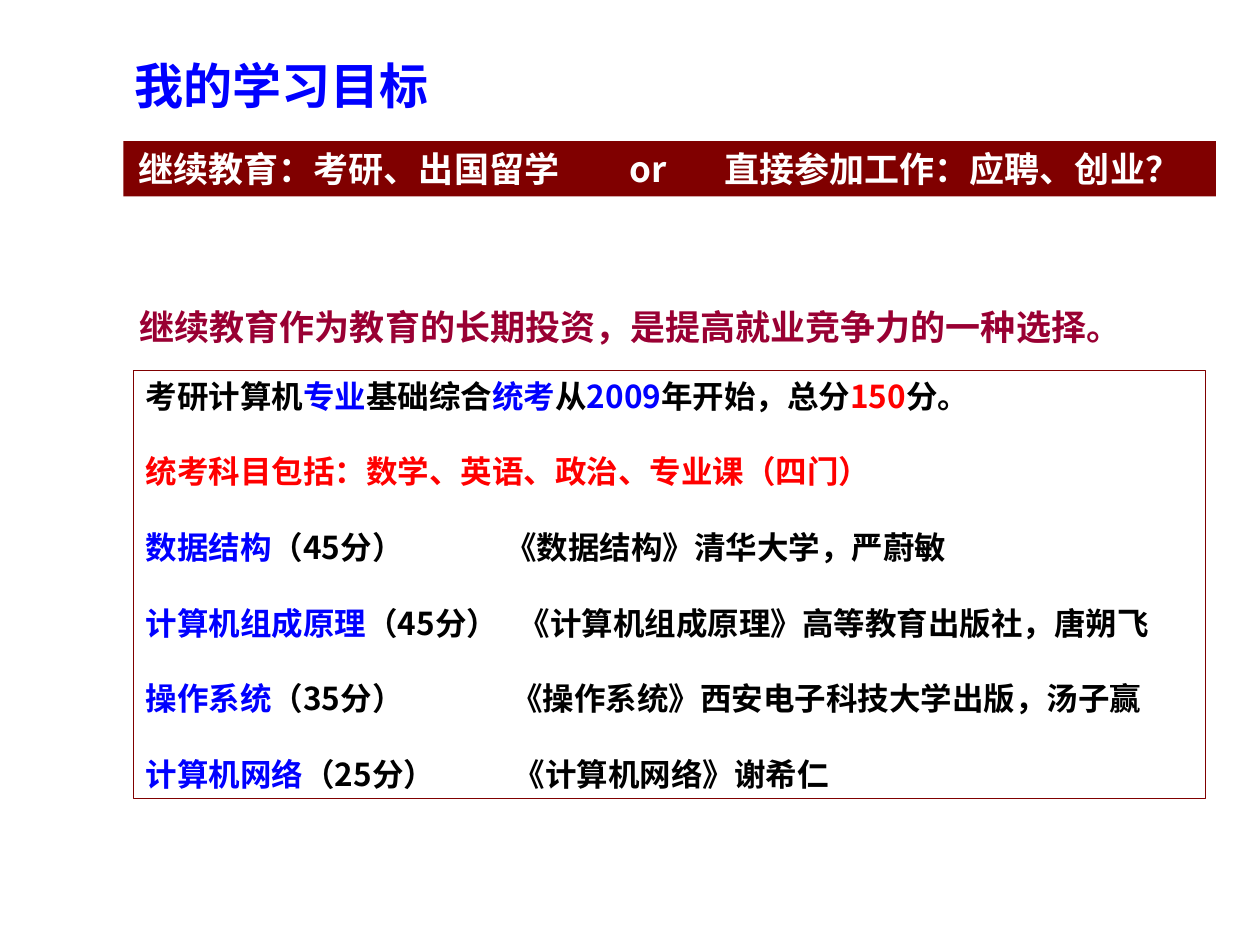
from lxml.etree import SubElement
from pptx import Presentation
from pptx.dml.color import RGBColor
from pptx.enum.shapes import MSO_SHAPE
from pptx.enum.text import MSO_ANCHOR
from pptx.oxml.ns import qn
from pptx.util import Inches, Pt

FONT = "Noto Sans CJK SC"
BLUE, RED, BLACK, WHITE = "0000FF", "FF0000", "000000", "FFFFFF"
MAROON, CRIMSON = "800000", "990033"


def color(value):
    return RGBColor.from_string(value)


def apply(target, values):
    for name, value in values.items():
        setattr(target, name, value)


class GoalSlide:
    def __init__(self, presentation):
        self.slide = presentation.slides.add_slide(presentation.slide_layouts[6])
        self.frame_format = {
            "margin_left": Inches(0.1), "margin_right": Inches(0.1),
            "margin_top": Inches(0.05), "margin_bottom": Inches(0.05),
            "vertical_anchor": MSO_ANCHOR.MIDDLE, "word_wrap": True,
        }

    def paragraph(self, paragraph, runs, size, tabs=(), **spacing):
        apply(paragraph, spacing)
        if tabs:
            tab_list = SubElement(paragraph._p.get_or_add_pPr(), qn("a:tabLst"))
            for position in tabs:
                SubElement(tab_list, qn("a:tab"), pos=str(Inches(position)), algn="l")
        for text, hue in runs:
            run = paragraph.add_run()
            run.text = text
            apply(run.font, {"name": FONT, "size": Pt(size), "bold": True})
            run.font.color.rgb = color(hue)
            SubElement(run._r.get_or_add_rPr(), qn("a:ea"), typeface=FONT)

    def text(self, box, text, hue, size, **frame):
        shape = self.slide.shapes.add_textbox(*map(Inches, box))
        apply(shape.text_frame, self.frame_format | frame)
        self.paragraph(shape.text_frame.paragraphs[0], [(text, hue)], size)

    def rectangle(self, box, fill=None, line=None, **frame):
        shape = self.slide.shapes.add_shape(MSO_SHAPE.RECTANGLE, *map(Inches, box))
        shape.shadow.inherit = False
        if fill:
            shape.fill.solid()
            shape.fill.fore_color.rgb = color(fill)
        else:
            shape.fill.background()
        if line:
            shape.line.color.rgb = color(line)
            shape.line.width = Pt(0.75)
        else:
            shape.line.fill.background()
        apply(shape.text_frame, self.frame_format | frame)
        return shape.text_frame

    def banner(self, box, text, tabs):
        frame = self.rectangle(box, fill=MAROON, margin_left=Inches(0.12))
        self.paragraph(frame.paragraphs[0], [(text, WHITE)], 20, tabs, alignment=1)

    def panel(self, box, rows, line_height=21.6):
        frame = self.rectangle(box, line=MAROON)
        for index, (runs, tabs) in enumerate(rows):
            paragraph = frame.add_paragraph() if index else frame.paragraphs[0]
            self.paragraph(
                paragraph, runs, 18, tabs, alignment=1,
                line_spacing=Pt(line_height),
                space_before=Pt(line_height if index else 0),
            )


def main():
    presentation = Presentation()
    apply(presentation, {"slide_width": Inches(10), "slide_height": Inches(7.5)})
    goals = GoalSlide(presentation)

    subjects = [
        ("数据结构", 45, "《数据结构》清华大学，严蔚敏", 2.85),
        ("计算机组成原理", 45, "《计算机组成原理》高等教育出版社，唐朔飞", 2.96),
        ("操作系统", 35, "《操作系统》西安电子科技大学出版，汤子赢", 2.9),
        ("计算机网络", 25, "《计算机网络》谢希仁", 2.92),
    ]
    rows = [
        ([("考研计算机", BLACK), ("专业", BLUE), ("基础综合", BLACK),
          ("统考", BLUE), ("从", BLACK), ("2009", BLUE),
          ("年开始，总分", BLACK), ("150", RED), ("分。", BLACK)], ()),
        ([("统考科目包括：数学、英语、政治、专业课（四门）", RED)], ()),
    ]
    for subject, score, book, tab in subjects:
        rows.append(([(subject, BLUE), (f"（{score}分）\t{book}", BLACK)], [tab]))

    goals.panel((1.06, 2.94, 8.51, 3.4), rows)
    goals.text((1.01, 2.37, 7.99, 0.44),
               "继续教育作为教育的长期投资，是提高就业竞争力的一种选择。",
               CRIMSON, 20, word_wrap=False)
    goals.text((0.89, 0.39, 5.61, 0.57), "我的学习目标", BLUE, 28,
               margin_left=Inches(0.18))
    goals.banner((0.98, 1.12, 8.67, 0.44),
                 "继续教育：考研、出国留学\tor\t直接参加工作：应聘、创业？",
                 (3.9, 4.65))
    presentation.save("out.pptx")


if __name__ == "__main__":
    main()
